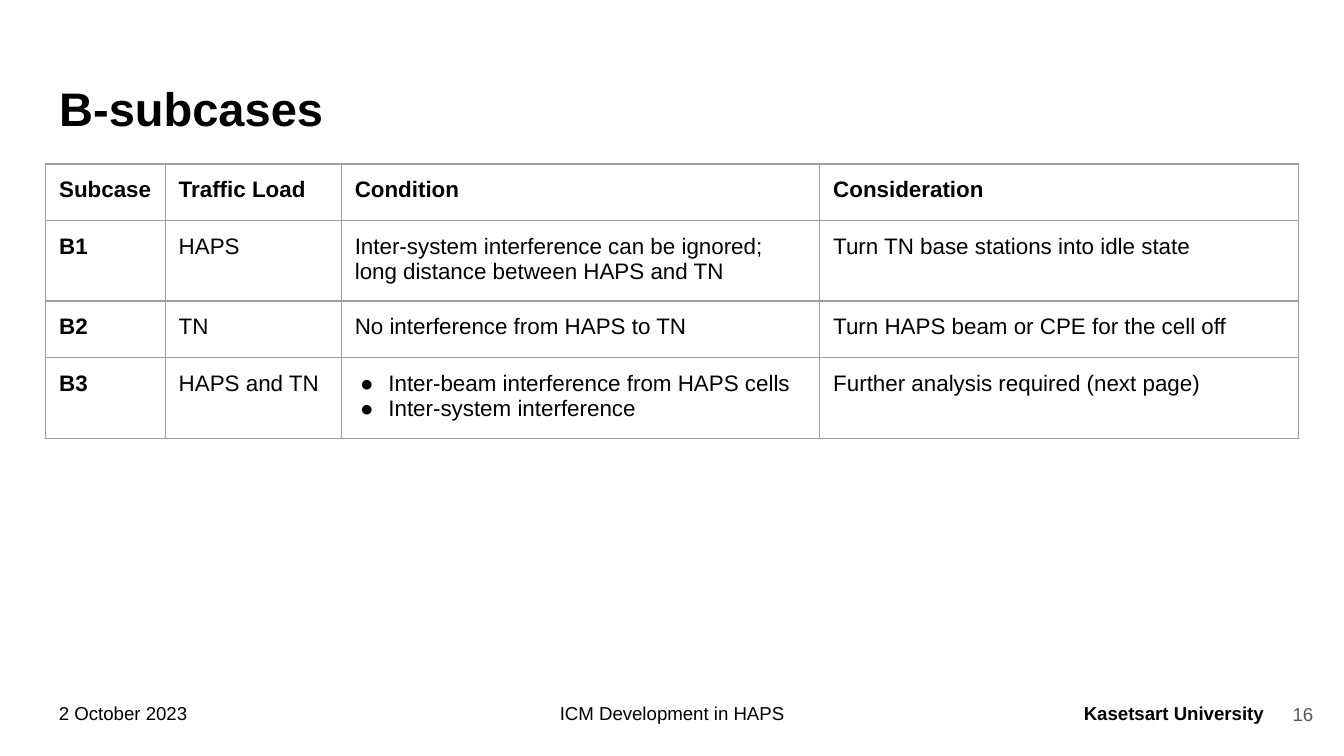
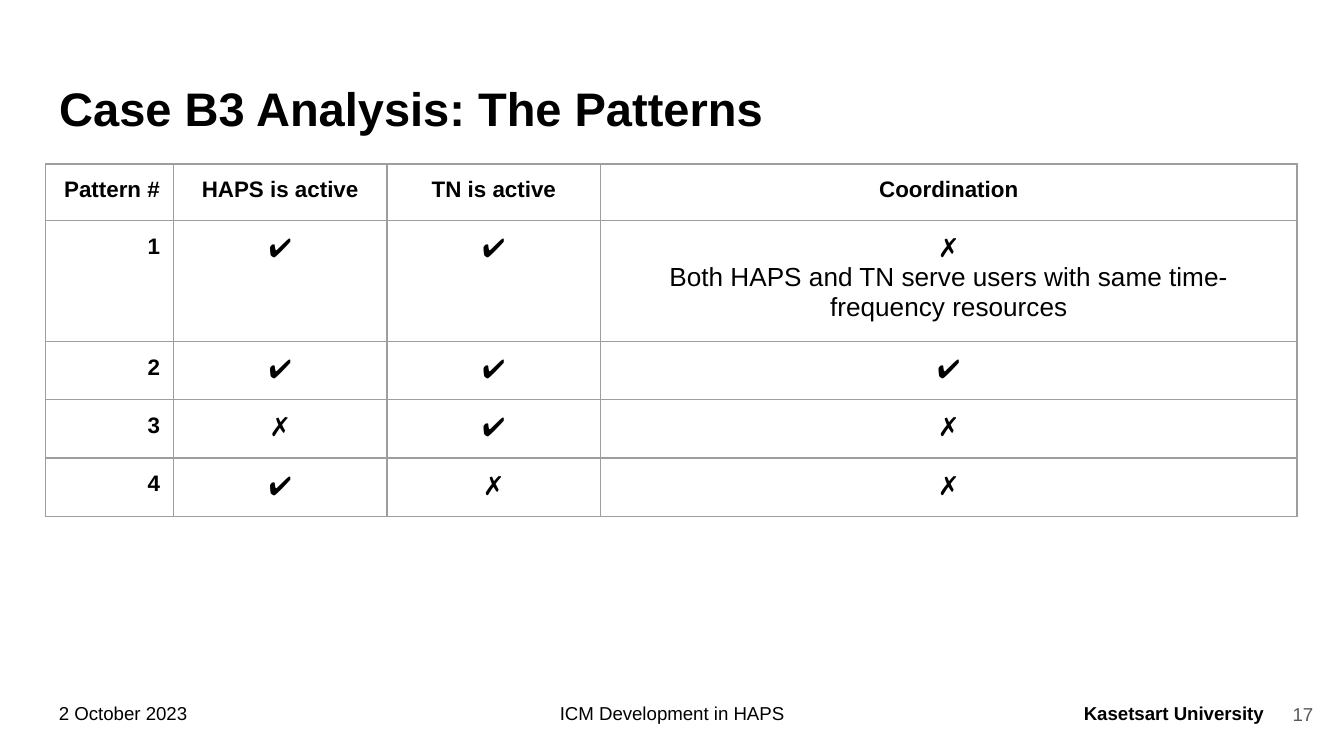
from dataclasses import dataclass

from lxml import etree
from pptx import Presentation
from pptx.dml.color import RGBColor
from pptx.enum.text import MSO_ANCHOR, MSO_AUTO_SIZE, PP_ALIGN
from pptx.oxml.ns import qn
from pptx.util import Inches, Pt

LEFT, CENTER, RIGHT = PP_ALIGN.LEFT, PP_ALIGN.CENTER, PP_ALIGN.RIGHT
TOP, MIDDLE = MSO_ANCHOR.TOP, MSO_ANCHOR.MIDDLE
NO_AUTOFIT = MSO_AUTO_SIZE.NONE

COLORS = {"text": "000000", "number": "595959", "grid": "9E9E9E"}
FONT = "Arial"
INSET = Inches(0.1)
SLIDE_WIDTH = Inches(10)
SLIDE_HEIGHT = SLIDE_WIDTH * 9 // 16
MARGIN_X = 0.34
CONTENT_WIDTH = 9.32
TITLE_ONLY = 5
YES, NO = "✔", "✗"


@dataclass(frozen=True)
class Footer:
    text: str
    left: float
    width: float
    align: PP_ALIGN = LEFT
    bold: bool = False
    color: str = "text"
    top: float = 5.14
    height: float = 0.37
    anchor: MSO_ANCHOR = TOP


@dataclass(frozen=True)
class TablePage:
    """A title and a table; a tuple in place of a cell's string is a bulleted list."""
    number: int
    title: str
    widths: tuple
    aligns: tuple
    body_size: float
    rows: tuple


FOOTERS = (
    Footer("2 October 2023", MARGIN_X, 1.18),
    Footer("ICM Development in HAPS", 2.53, 4.94, CENTER),
    Footer("Kasetsart University", 7.92, 1.58, RIGHT, bold=True),
)

PAGES = (
    TablePage(
        16, "B-subcases", (0.89, 1.31, 3.56, 3.56), (LEFT,) * 4, 12,
        (
            ("Subcase", "Traffic Load", "Condition", "Consideration"),
            ("B1", "HAPS",
             "Inter-system interference can be ignored;\nlong distance between HAPS and TN",
             "Turn TN base stations into idle state"),
            ("B2", "TN", "No interference from HAPS to TN",
             "Turn HAPS beam or CPE for the cell off"),
            ("B3", "HAPS and TN",
             ("Inter-beam interference from HAPS cells", "Inter-system interference"),
             "Further analysis required (next page)"),
        ),
    ),
    TablePage(
        17, "Case B3 Analysis: The Patterns", (0.95, 1.59, 1.59, 5.18),
        (RIGHT, CENTER, CENTER, CENTER), 14,
        (
            ("Pattern #", "HAPS is active", "TN is active", "Coordination"),
            ("1", YES, YES,
             f"{NO}\nBoth HAPS and TN serve users with same time-frequency resources"),
            ("2", YES, YES, YES),
            ("3", NO, YES, NO),
            ("4", YES, NO, NO),
        ),
    ),
)


def set_insets(holder) -> None:
    holder.margin_left = holder.margin_right = INSET
    holder.margin_top = holder.margin_bottom = INSET


def add_bullet(paragraph) -> None:
    props = paragraph._p.get_or_add_pPr()
    props.set("marL", str(Inches(0.25)))
    props.set("indent", str(-Inches(0.21)))
    tint = etree.SubElement(props, qn("a:buClr"))
    etree.SubElement(tint, qn("a:srgbClr"), val=COLORS["text"])
    etree.SubElement(props, qn("a:buFont"), typeface=FONT)
    etree.SubElement(props, qn("a:buChar"), char="●")


def write_text(frame, text, *, size: float, bold: bool = False,
               color: str = "text", align: PP_ALIGN = LEFT) -> None:
    """Fill a text frame; newlines break lines and a tuple makes bullets."""
    bulleted = isinstance(text, tuple)
    for index, line in enumerate(text if bulleted else (text,)):
        paragraph = frame.add_paragraph() if index else frame.paragraphs[0]
        paragraph.text = line.replace("\n", "\v")
        paragraph.alignment = align
        paragraph.line_spacing = 1.0
        paragraph.space_before = paragraph.space_after = Pt(0)
        if bulleted:
            add_bullet(paragraph)
        for run in paragraph.runs:
            run.font.name = FONT
            run.font.size = Pt(size)
            run.font.bold = bold
            run.font.color.rgb = RGBColor.from_string(COLORS[color])
        for line_break in paragraph._p.findall(qn("a:br")):
            etree.SubElement(line_break, qn("a:rPr"), sz=str(int(size * 100)))


def add_footer(slide, footer: Footer) -> None:
    box = slide.shapes.add_textbox(Inches(footer.left), Inches(footer.top),
                                   Inches(footer.width), Inches(footer.height))
    frame = box.text_frame
    frame.word_wrap = True
    frame.vertical_anchor = footer.anchor
    set_insets(frame)
    write_text(frame, footer.text, size=10, bold=footer.bold,
               color=footer.color, align=footer.align)


def set_title(slide, text: str) -> None:
    title = slide.shapes.title
    title.left, title.top = Inches(MARGIN_X), Inches(0.49)
    title.width, title.height = Inches(CONTENT_WIDTH), Inches(0.63)
    frame = title.text_frame
    frame.word_wrap = True
    frame.auto_size = NO_AUTOFIT
    frame.vertical_anchor = TOP
    set_insets(frame)
    write_text(frame, text, size=25.2, bold=True)


def outline_cell(cell) -> None:
    props = cell._tc.get_or_add_tcPr()
    for side in ("lnL", "lnR", "lnT", "lnB"):
        line = etree.SubElement(props, qn(f"a:{side}"), w=str(Pt(0.75)))
        fill = etree.SubElement(line, qn("a:solidFill"))
        etree.SubElement(fill, qn("a:srgbClr"), val=COLORS["grid"])


def add_grid(slide, page: TablePage) -> None:
    row_height = Inches(0.42)
    table = slide.shapes.add_table(
        len(page.rows), len(page.widths), Inches(MARGIN_X), Inches(1.22),
        Inches(CONTENT_WIDTH), row_height * len(page.rows)).table
    table.first_row = table.horz_banding = False
    for column, width in zip(table.columns, page.widths):
        column.width = Inches(width)
    for row_index, row in enumerate(page.rows):
        table.rows[row_index].height = row_height
        for column_index, text in enumerate(row):
            cell = table.cell(row_index, column_index)
            is_heading = row_index == 0 or column_index == 0
            set_insets(cell)
            outline_cell(cell)
            cell.fill.background()
            write_text(cell.text_frame, text, bold=is_heading,
                       size=12 if is_heading else page.body_size,
                       align=page.aligns[column_index])


def add_page(deck, page: TablePage) -> None:
    slide = deck.slides.add_slide(deck.slide_layouts[TITLE_ONLY])
    page_number = Footer(str(page.number), 9.27, 0.6, RIGHT, color="number",
                         top=5.1, height=0.43, anchor=MIDDLE)
    for footer in (*FOOTERS, page_number):
        add_footer(slide, footer)
    set_title(slide, page.title)
    add_grid(slide, page)


def main() -> None:
    deck = Presentation()
    deck.slide_width, deck.slide_height = SLIDE_WIDTH, SLIDE_HEIGHT
    for page in PAGES:
        add_page(deck, page)
    deck.save("out.pptx")


if __name__ == "__main__":
    main()
